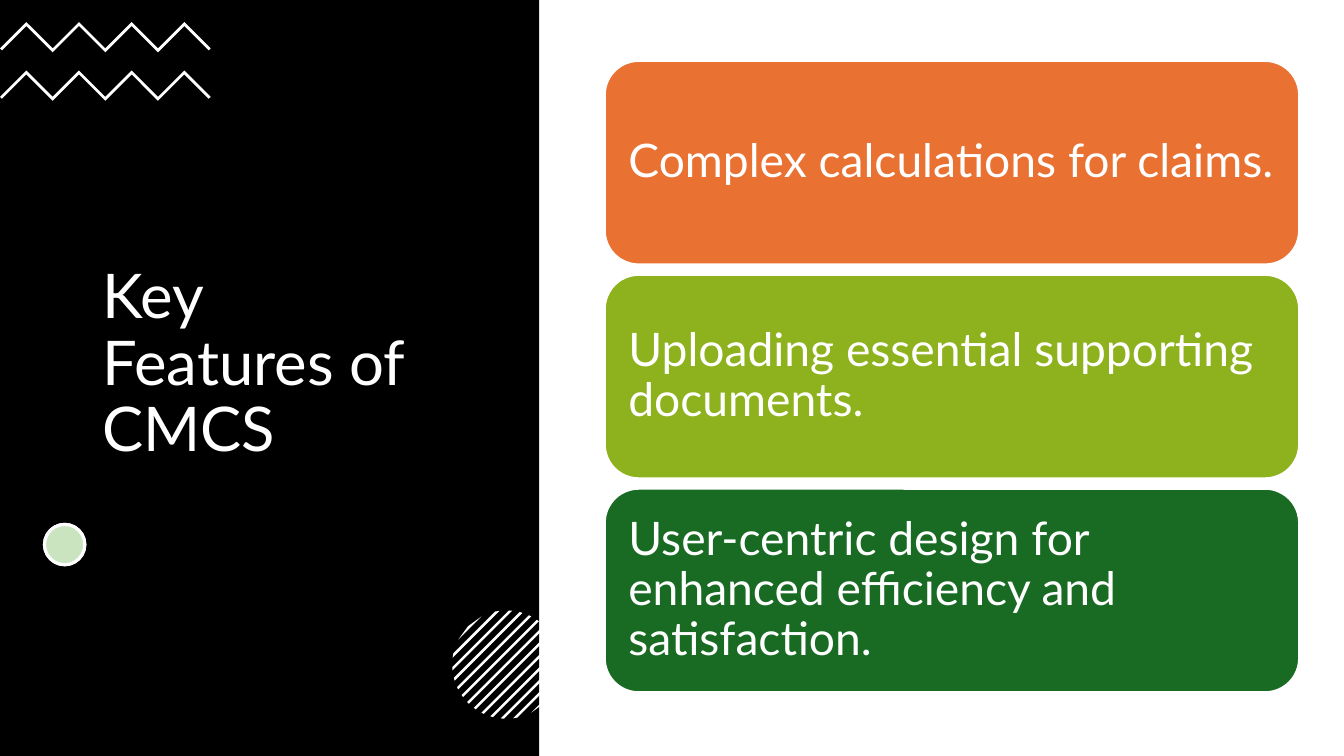
from math import sqrt

from lxml.etree import SubElement
from pptx import Presentation
from pptx.dml.color import RGBColor
from pptx.enum.shapes import MSO_SHAPE as Shape
from pptx.enum.text import MSO_ANCHOR as Anchor, PP_ALIGN as Align
from pptx.oxml.ns import qn
from pptx.util import Pt

WHITE = RGBColor(0xFF, 0xFF, 0xFF)
BLACK = RGBColor(0x00, 0x00, 0x00)
ORANGE = RGBColor(0xE9, 0x71, 0x32)
LIME = RGBColor(0x8E, 0xB2, 0x1E)
FOREST = RGBColor(0x19, 0x6B, 0x24)
LEAF = RGBColor(0x4E, 0xA7, 0x2E)
FONT = "Lato"
FEATURES = [
    ("Complex calculations for claims.", ORANGE),
    ("Uploading essential supporting documents.", LIME),
    ("User-centric design for enhanced efficiency and satisfaction.", FOREST),
]


def paint(shape, fill, line_width=0):
    shape.shadow.inherit = False
    shape.fill.solid()
    shape.fill.fore_color.rgb = fill
    if line_width:
        shape.line.color.rgb = WHITE
        shape.line.width = Pt(line_width)
    else:
        shape.line.fill.background()


def add_preset(page, kind, box, fill, line_width=0):
    shape = page.shapes.add_shape(kind, *map(Pt, box))
    paint(shape, fill, line_width)
    return shape


def add_outline(page, points):
    corners = [(Pt(x), Pt(y)) for x, y in points]
    builder = page.shapes.build_freeform(*corners[0])
    builder.add_line_segments(corners[1:], close=True)
    paint(builder.convert_to_shape(), WHITE)


def write(shape, text, size, side, edge):
    frame = shape.text_frame
    frame.word_wrap = True
    frame.vertical_anchor = Anchor.MIDDLE
    frame.margin_left = frame.margin_right = Pt(side)
    frame.margin_top = frame.margin_bottom = Pt(edge)
    para = frame.paragraphs[0]
    para.alignment = Align.LEFT
    para.line_spacing = 0.9
    span = para.add_run()
    span.text = text
    span.font.name = FONT
    span.font.size = Pt(size)
    span.font.color.rgb = WHITE


def add_zigzag(page, box, teeth=4, thickness=2.8):
    left, top, width, height = box
    step = width / (2 * teeth)
    valley = height - thickness
    inset = thickness / 2
    upper = [(left + i * step, top + (0 if i % 2 else valley))
             for i in range(2 * teeth + 1)]
    lower = [(x, y + thickness) for x, y in upper[-2:0:-1]]
    end_y = top + valley + inset
    add_outline(page, upper + [(left + width - inset, end_y)] + lower
                + [(left + inset, end_y)])


def add_striped_disc(page, box, stripes=13, pitch=6.3, thickness=1.8):
    left, top, size, _ = box
    radius = size / 2
    center_x, center_y = left + radius, top + radius
    for i in range(stripes):
        middle = (i - (stripes - 1) / 2) * pitch
        points = []
        for offset, side in ((-1, -1), (-1, 1), (1, 1), (1, -1)):
            depth = middle + offset * thickness / 2
            reach = side * sqrt(max(radius ** 2 - depth ** 2, 0))
            points.append((center_x + (depth + reach) / sqrt(2),
                           center_y + (depth - reach) / sqrt(2)))
        add_outline(page, points)


def add_dot(page, box):
    add_preset(page, Shape.OVAL, box, WHITE, 2.25)
    tint = add_preset(page, Shape.OVAL, box, LEAF, 2.25)
    color = tint.fill._xPr.find(qn("a:solidFill"))[0]
    SubElement(color, qn("a:alpha"), val="30000")


def add_title_panel(page, box):
    left, top, width, height = box
    add_preset(page, Shape.RECTANGLE, box, BLACK)
    title = page.shapes.add_textbox(
        *map(Pt, (left + 66, top + 94.5, 252, 333)))
    write(title, "Key Features of CMCS", 44, 7.2, 3.6)
    for row in range(2):
        add_zigzag(page, (left, top + 15.8 + row * 34.6, 150.5, 21.6))
    add_dot(page, (left + 31.8, top + 374.6, 28.8, 28.8))
    add_striped_disc(page, (left + width - 62.2, top + 436, 77.4, 77.4))


def add_feature_cards(page, box, gap=7.4):
    left, top, width, height = box
    count = len(FEATURES)
    card_height = (height - gap * (count - 1)) / count
    for i, (text, fill) in enumerate(FEATURES):
        card_box = (left, top + i * (card_height + gap), width, card_height)
        card = add_preset(page, Shape.ROUNDED_RECTANGLE, card_box, fill, 1.5)
        write(card, text, 33, 9.8, 9.8)


def main():
    deck = Presentation()
    deck.slide_width, deck.slide_height = Pt(960), Pt(540)
    page = deck.slides.add_slide(deck.slide_layouts[6])
    add_title_panel(page, (0, 0, 385.2, 540))
    add_feature_cards(page, (432, 43.5, 496, 451))
    deck.save("out.pptx")


if __name__ == "__main__":
    main()
